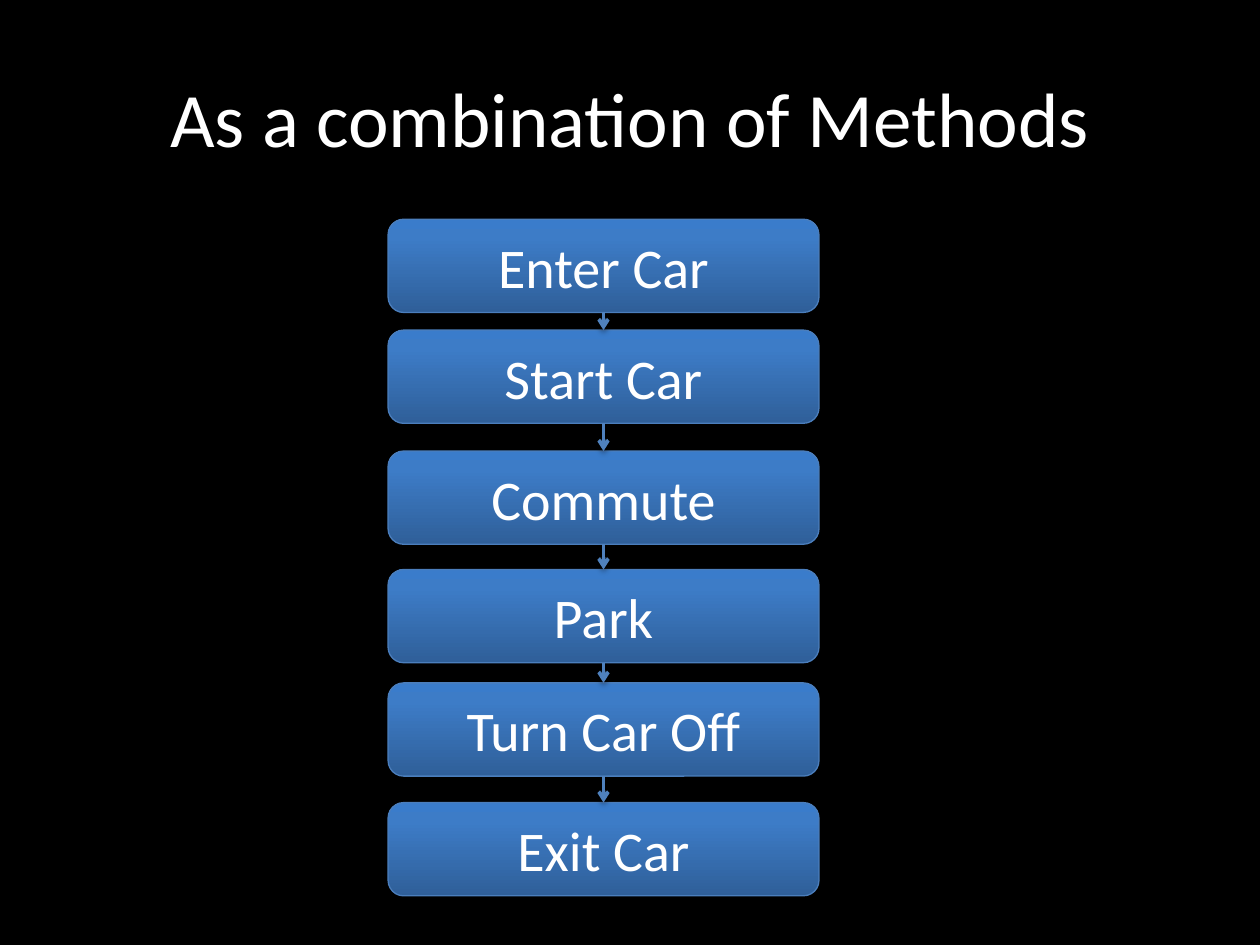
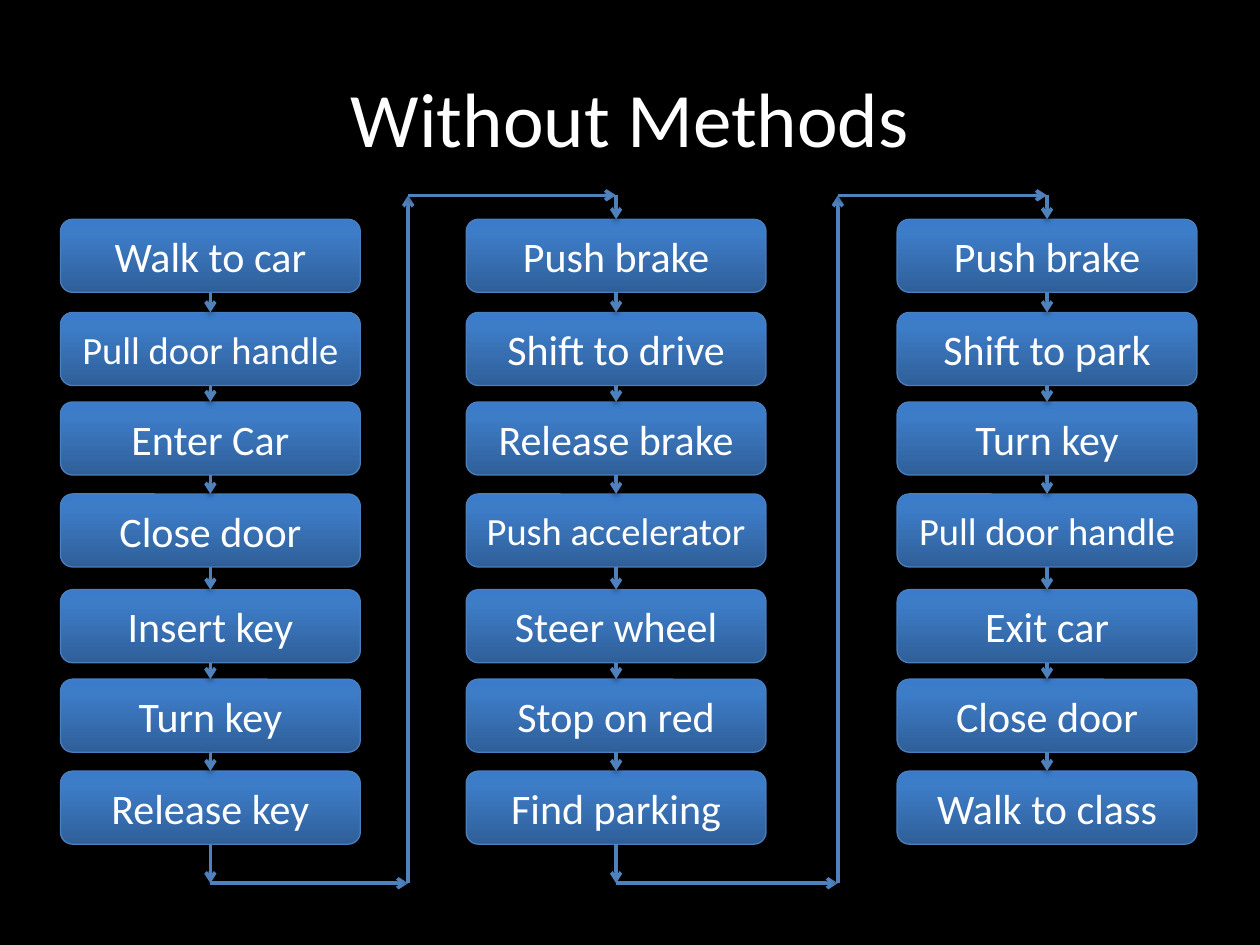
from copy import deepcopy
from dataclasses import dataclass
from itertools import pairwise

from lxml.etree import SubElement
from pptx import Presentation
from pptx.dml.color import RGBColor as Rgb
from pptx.enum.shapes import MSO_CONNECTOR as Link, MSO_SHAPE as Preset
from pptx.enum.text import MSO_ANCHOR as Anchor, PP_ALIGN as Align
from pptx.oxml.ns import qn
from pptx.util import Pt

PX = 9144


@dataclass(frozen=True)
class Theme:
    font: str = "Calibri"
    background: str = "000000"
    text: str = "FFFFFF"
    border: str = "4B7EBC"
    arrow: str = "4F81BD"
    shadow: str = "000000"
    gradient: tuple = ((0, "2F5F99"), (0.8, "3D7CC7"), (1, "3A7CCB"))
    title_size: int = 44
    method_size: int = 32
    step_size: int = 24
    long_step_size: int = 22
    border_width: float = 0.75
    arrow_width: int = 2
    box_shadow: tuple = (35, 1.8)
    arrow_shadow: tuple = (38, 1.6)
    shadow_blur: float = 3.1


def apply(target, values):
    for name, value in values.items():
        setattr(target, name, value)


class Deck:
    def __init__(self, theme):
        self.theme = theme
        self.slide = None
        self.presentation = Presentation()
        apply(self.presentation, {"slide_width": 1000 * PX, "slide_height": 750 * PX})
        backdrop = self.presentation.slide_master.background.fill
        backdrop.solid()
        backdrop.fore_color.rgb = Rgb.from_string(theme.background)

    def start(self, heading):
        layout = self.presentation.slide_layouts.get_by_name("Title Only")
        self.slide = self.presentation.slides.add_slide(layout)
        title = self.slide.shapes.title
        apply(title, {"left": 50 * PX, "top": 30 * PX,
                      "width": 900 * PX, "height": 125 * PX})
        self.label(title, heading, self.theme.title_size)

    def label(self, holder, words, size):
        frame = holder.text_frame
        apply(frame, {"text": words, "word_wrap": True, "vertical_anchor": Anchor.MIDDLE})
        paragraph = frame.paragraphs[0]
        paragraph.alignment = Align.CENTER
        font = paragraph.runs[0].font
        apply(font, {"name": self.theme.font, "size": Pt(size)})
        font.color.rgb = Rgb.from_string(self.theme.text)

    def outline(self, line, color, width):
        line.color.rgb = Rgb.from_string(color)
        line.width = Pt(width)

    def cast_shadow(self, effects, opacity, distance):
        shadow = SubElement(effects, qn("a:outerShdw"), {
            "blurRad": str(Pt(self.theme.shadow_blur)), "dist": str(Pt(distance)),
            "dir": "5400000", "rotWithShape": "0"})
        color = SubElement(shadow, qn("a:srgbClr"), val=self.theme.shadow)
        SubElement(color, qn("a:alpha"), val=str(opacity * 1000))

    def box(self, words, left, top, width, height, size):
        box = self.slide.shapes.add_shape(
            Preset.ROUNDED_RECTANGLE, *(n * PX for n in (left, top, width, height)))
        properties = box._element.spPr
        box.fill.gradient()
        box.fill.gradient_angle = 90
        stops = properties.find(".//" + qn("a:gsLst"))
        stops.append(deepcopy(stops[-1]))
        for stop, (position, color) in zip(box.fill.gradient_stops, self.theme.gradient):
            stop.position = position
            stop.color.rgb = Rgb.from_string(color)
        self.outline(box.line, self.theme.border, self.theme.border_width)
        box.shadow.inherit = False
        self.cast_shadow(properties.find(qn("a:effectLst")), *self.theme.box_shadow)
        self.label(box, words, size)

    def arrow(self, start, end):
        arrow = self.slide.shapes.add_connector(
            Link.STRAIGHT, *(n * PX for n in (*start, *end)))
        self.outline(arrow.line, self.theme.arrow, self.theme.arrow_width)
        properties = arrow._element.spPr
        SubElement(properties.find(qn("a:ln")), qn("a:tailEnd"), type="arrow")
        self.cast_shadow(SubElement(properties, qn("a:effectLst")), *self.theme.arrow_shadow)

    def route(self, points):
        for start, end in pairwise(points):
            self.arrow(start, end)

    def chain(self, steps, left, tops, width, height, size, long_size):
        for words, top in zip(steps, tops):
            self.box(words, left, top, width, height, long_size if len(words) > 15 else size)
        center = left + width // 2
        for top, next_top in pairwise(tops):
            self.arrow((center, top + height), (center, next_top))


def add_methods(deck):
    deck.start("As a combination of Methods")
    methods = ("Enter Car", "Start Car", "Commute", "Park", "Turn Car Off", "Exit Car")
    size = deck.theme.method_size
    deck.chain(methods, 308, (174, 262, 358, 452, 542, 637), 342, 74, size, size)


def add_steps(deck):
    deck.start("Without Methods")
    columns = {
        48: ("Walk to car", "Pull door handle", "Enter Car", "Close door",
             "Insert key", "Turn key", "Release key"),
        370: ("Push brake", "Shift to drive", "Release brake", "Push accelerator",
              "Steer wheel", "Stop on red", "Find parking"),
        712: ("Push brake", "Shift to park", "Turn key", "Pull door handle",
              "Exit car", "Close door", "Walk to class"),
    }
    tops = (174, 248, 319, 392, 468, 539, 612)
    width, height = 238, 58
    for left, steps in columns.items():
        deck.chain(steps, left, tops, width, height,
                   deck.theme.step_size, deck.theme.long_step_size)
    centers = [left + width // 2 for left in columns]
    lane_top, lane_bottom = 155, 701
    for (center, next_center), lane in zip(pairwise(centers), (324, 665)):
        deck.route(((center, tops[-1] + height), (center, lane_bottom),
                    (lane, lane_bottom), (lane, lane_top),
                    (next_center, lane_top), (next_center, tops[0])))


def main():
    deck = Deck(Theme())
    add_methods(deck)
    add_steps(deck)
    deck.presentation.save("out.pptx")


if __name__ == "__main__":
    main()
